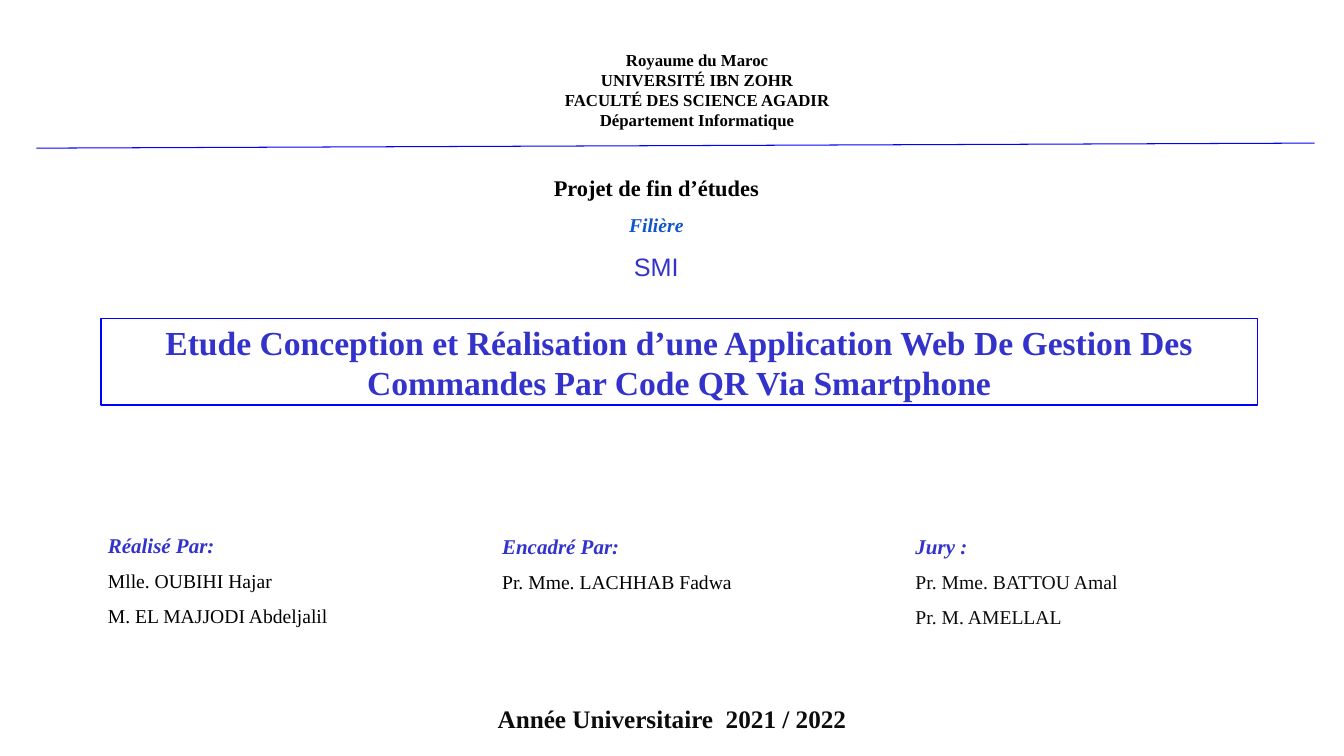
from lxml import etree
from pptx import Presentation
from pptx.dml.color import RGBColor
from pptx.enum.shapes import MSO_CONNECTOR
from pptx.enum.text import MSO_ANCHOR, MSO_AUTO_SIZE, PP_ALIGN
from pptx.oxml.ns import qn
from pptx.util import Inches, Pt

STRAIGHT = MSO_CONNECTOR.STRAIGHT
TOP, MIDDLE = MSO_ANCHOR.TOP, MSO_ANCHOR.MIDDLE
NO_AUTOFIT = MSO_AUTO_SIZE.NONE
CENTER, LEFT = PP_ALIGN.CENTER, PP_ALIGN.LEFT
TITLE_ONLY_LAYOUT = 5
SERIF, SANS = "Times New Roman", "Arial"
BLACK, SOFT_BLACK = "000000", "0C0C0C"
BLUE, INDIGO, LINK_BLUE = "0000FF", "3333CC", "1155CC"

HEADER = [
    "Royaume du Maroc",
    "UNIVERSITÉ IBN ZOHR",
    "FACULTÉ DES SCIENCE AGADIR",
    "Département Informatique",
]
TITLE = (
    "Etude Conception et Réalisation d’une Application Web "
    "De Gestion Des Commandes Par Code QR Via Smartphone"
)
PEOPLE = [
    (1, 5.13, "Réalisé Par:", ["Mlle. OUBIHI Hajar", "M. EL MAJJODI Abdeljalil"], BLACK),
    (4.91, 5.14, "Encadré Par:", ["Pr. Mme. LACHHAB Fadwa"], BLACK),
    (9.01, 5.14, "Jury :", ["Pr. Mme. BATTOU Amal", "Pr. M. AMELLAL"], SOFT_BLACK),
]


def color(hex_value):
    """Return the colour for a hex string."""
    return RGBColor.from_string(hex_value)


def prepare_frame(shape, anchor=TOP):
    """Set wrapping, margins and anchor, and return the text frame."""
    frame = shape.text_frame
    frame.word_wrap = True
    frame.auto_size = NO_AUTOFIT
    frame.vertical_anchor = anchor
    frame.margin_left = frame.margin_right = Inches(0.07)
    frame.margin_top = frame.margin_bottom = Inches(0.03)
    return frame


def add_text_box(slide, left, top, width, height):
    """Add a text box and return its text frame."""
    box = slide.shapes.add_textbox(Inches(left), Inches(top), Inches(width), Inches(height))
    return prepare_frame(box)


def add_line(frame, text, size, hex_value, bold=False, italic=False, font=SERIF,
             align=CENTER, spacing=1.0, before=0):
    """Write one formatted paragraph, using the empty first one if there is one."""
    first = frame.paragraphs[0]
    paragraph = frame.add_paragraph() if first.runs else first
    paragraph.alignment = align
    paragraph.line_spacing = spacing
    paragraph.space_before = Pt(before)
    run = paragraph.add_run()
    run.text = text
    run.font.name = font
    run.font.size = Pt(size)
    run.font.bold = bold
    run.font.italic = italic
    run.font.color.rgb = color(hex_value)


def add_rule(slide):
    """Draw the blue line under the header."""
    rule = slide.shapes.add_connector(
        STRAIGHT, Inches(0.36), Inches(1.47), Inches(13.04), Inches(1.42))
    rule.line.color.rgb = color(BLUE)
    rule.line.width = Pt(0.75)
    etree.SubElement(rule.element.spPr, qn("a:effectLst"))


def format_title(slide):
    """Place the title in its outlined box."""
    title = slide.shapes.title
    title.left, title.top = Inches(1), Inches(3.16)
    title.width, title.height = Inches(11.47), Inches(0.86)
    title.fill.solid()
    title.fill.fore_color.rgb = color("FFFFFF")
    title.line.color.rgb = color(BLUE)
    title.line.width = Pt(1)
    add_line(prepare_frame(title, MIDDLE), TITLE, 24, INDIGO, bold=True)


def add_people(slide, left, top, heading, names, name_color):
    """Add a column with a heading and the names under it."""
    frame = add_text_box(slide, left, top, 3.15, 1.2)
    add_line(frame, heading, 15, INDIGO, bold=True, italic=True, align=LEFT, spacing=1.5)
    for name in names:
        add_line(frame, name, 14, name_color, align=LEFT, before=8)


def main():
    """Build the cover slide and save it."""
    presentation = Presentation()
    presentation.slide_width = Inches(13.33)
    presentation.slide_height = Inches(7.5)
    slide = presentation.slides.add_slide(presentation.slide_layouts[TITLE_ONLY_LAYOUT])

    add_rule(slide)
    header = add_text_box(slide, 2.43, 0.46, 8.97, 0.94)
    for text in HEADER:
        add_line(header, text, 12, BLACK, bold=True)

    project = add_text_box(slide, 2.26, 1.7, 8.5, 1.3)
    add_line(project, "Projet de fin d’études", 16, BLACK, bold=True)
    add_line(project, "Filière", 14, LINK_BLUE, bold=True, italic=True, spacing=1.5)
    add_line(project, "SMI", 18, INDIGO, font=SANS, spacing=1.5)

    format_title(slide)
    for column in PEOPLE:
        add_people(slide, *column)

    year = add_text_box(slide, 4.44, 6.95, 4.45, 0.5)
    add_line(year, "Année Universitaire  2021 / 2022", 18, SOFT_BLACK, bold=True)
    presentation.save("out.pptx")


if __name__ == "__main__":
    main()
